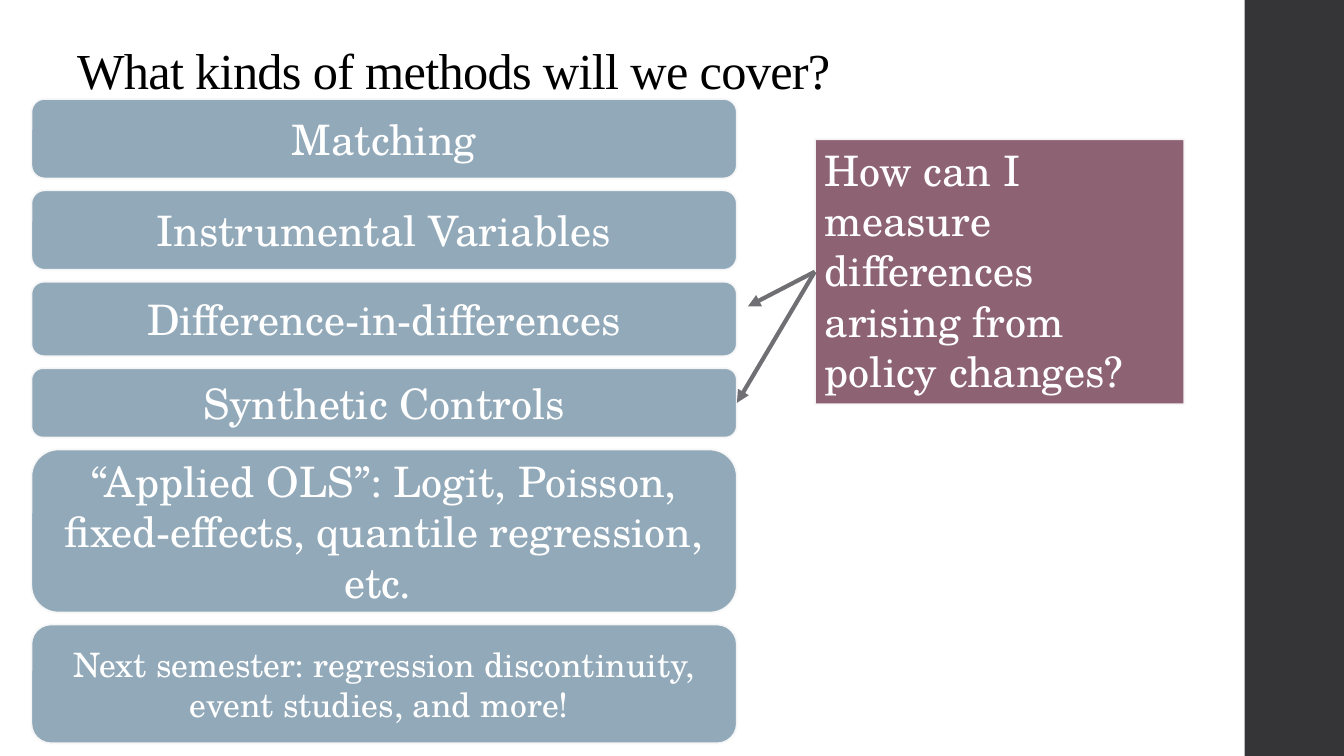
from pptx import Presentation
from pptx.dml.color import RGBColor
from pptx.enum.shapes import MSO_CONNECTOR as Connector, MSO_SHAPE as Shape
from pptx.enum.text import MSO_ANCHOR as Anchor, MSO_AUTO_SIZE as AutoSize, PP_ALIGN as Align
from pptx.oxml.ns import qn
from pptx.util import Pt
from lxml.etree import SubElement

BODY_FONT, TITLE_FONT = "TeX Gyre Schola", "Times New Roman"
METHODS_LEFT, METHODS_TOP, METHODS_WIDTH, METHODS_GAP = 22.4, 70.6, 504, 8.4
# Text, height, text size
METHODS = [
    ("Matching", 56.9, 30),
    ("Instrumental Variables", 56.9, 30),
    ("Difference-in-differences", 53.3, 30),
    ("Synthetic Controls", 49.7, 30),
    ("“Applied OLS”: Logit, Poisson, fixed-effects, quantile regression, etc. ", 116.6, 30),
    ("Next semester: regression discontinuity, event studies, and more! ", 85, 24),
]


def color(value):
    return RGBColor.from_string(value)


def write(shape, text, size=30, font=BODY_FONT, ink="FFFFFF", align=Align.LEFT,
          anchor=Anchor.TOP, line_spacing=None, tracking=None):
    frame = shape.text_frame
    frame.word_wrap = True
    frame.vertical_anchor = anchor
    paragraph = frame.paragraphs[0]
    paragraph.alignment = align
    if line_spacing:
        paragraph.line_spacing = line_spacing
    run = paragraph.add_run()
    run.text = text
    run.font.size = Pt(size)
    run.font.name = font
    run.font.color.rgb = color(ink)
    if tracking:
        run.font._element.set("spc", str(round(tracking * 100)))


def add_box(slide, kind, left, top, width, height, fill, outline=None):
    box = slide.shapes.add_shape(kind, Pt(left), Pt(top), Pt(width), Pt(height))
    box.shadow.inherit = False
    box.fill.solid()
    box.fill.fore_color.rgb = color(fill)
    if outline:
        box.line.width = Pt(1.35)
        box.line.color.rgb = color(outline)
        rgb = box.line._ln.find(".//" + qn("a:srgbClr"))
        SubElement(rgb, qn("a:alpha"), val="95000")
    else:
        box.line.fill.background()
    return box


def add_methods(slide):
    boxes, top = [], METHODS_TOP
    for text, height, size in METHODS:
        box = add_box(slide, Shape.ROUNDED_RECTANGLE, METHODS_LEFT, top,
                      METHODS_WIDTH, height, "92A9B9", "F9F9F9")
        write(box, text, size=size, align=Align.CENTER, anchor=Anchor.MIDDLE)
        boxes.append(box)
        top += height + METHODS_GAP
    return boxes


def add_arrow(slide, question, end_x=0, end_y=0, target=None):
    arrow = slide.shapes.add_connector(Connector.STRAIGHT, 0, 0, Pt(end_x), Pt(end_y))
    arrow.begin_connect(question, 1)
    if target is not None:
        arrow.end_connect(target, 3)
    arrow.line.width = Pt(3)
    arrow.line.color.rgb = color("6F6F74")
    SubElement(arrow.line._ln, qn("a:tailEnd"), type="triangle")
    SubElement(arrow._element.spPr, qn("a:effectLst"))


def main():
    deck = Presentation()
    deck.slide_width, deck.slide_height = Pt(960), Pt(540)
    slide = deck.slides.add_slide(deck.slide_layouts[6])

    # Side band and title
    add_box(slide, Shape.RECTANGLE, 889, 0, 71, 540, "353537")
    title = slide.shapes.add_textbox(Pt(48), Pt(26.6), Pt(822), Pt(49))
    write(title, "What kinds of methods will we cover?", size=36, font=TITLE_FONT,
          ink="000000", anchor=Anchor.BOTTOM, line_spacing=0.9, tracking=-0.5)

    # Stack of methods
    methods = add_methods(slide)
    synthetic_controls = methods[3]

    # Question with arrows to the methods that answer it
    question = add_box(slide, Shape.RECTANGLE, 582, 99.4, 264, 189.4, "8D6374", "F9F9F9")
    write(question, "How can I measure differences arising from policy changes?")
    question.text_frame.auto_size = AutoSize.SHAPE_TO_FIT_TEXT
    add_arrow(slide, question, end_x=534.2, end_y=218.9)
    add_arrow(slide, question, target=synthetic_controls)

    deck.save("out.pptx")


if __name__ == "__main__":
    main()
